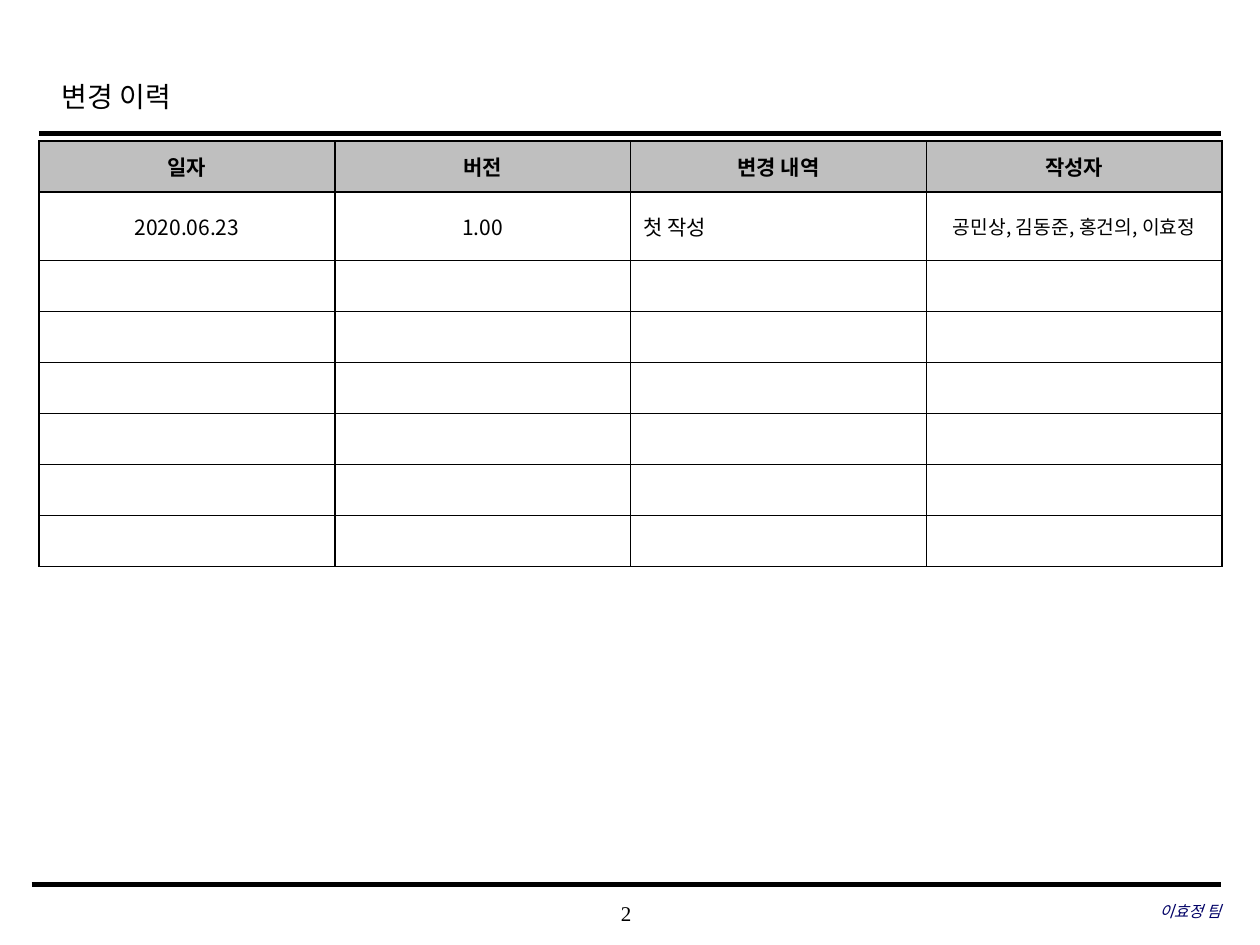
from lxml.etree import SubElement
from pptx import Presentation
from pptx.dml.color import RGBColor
from pptx.enum.shapes import MSO_CONNECTOR
from pptx.enum.text import MSO_ANCHOR, PP_ALIGN
from pptx.oxml.ns import qn
from pptx.util import Inches, Pt

SERIF = "Times New Roman"
SANS = "Noto Sans CJK KR"
BLACK = "000000"
HEADERS = ["일자", "버전", "변경 내역", "작성자"]
REVISION = ["2020.06.23", "1.00", "첫 작성", "공민상, 김동준, 홍건의, 이효정"]
ROW_COUNT = 8


def rgb(value):
    return RGBColor.from_string(value)


def style_paragraph(para, name, size, color=BLACK, bold=False, italic=False,
                    align=PP_ALIGN.LEFT):
    para.alignment = align
    font = para.font
    font.name, font.size = name, Pt(size)
    font.bold, font.italic = bold, italic
    font.color.rgb = rgb(color)
    # Korean glyphs use the East Asian typeface
    SubElement(font._element, qn("a:ea"), typeface=SANS)


def add_title(page, text):
    title = page.shapes.title
    title.left, title.top = Inches(0.39), Inches(0.49)
    title.width, title.height = Inches(7.55), Inches(0.5)
    frame = title.text_frame
    frame.text = text
    frame.vertical_anchor = MSO_ANCHOR.MIDDLE
    para = frame.paragraphs[0]
    para.line_spacing = 1.2
    style_paragraph(para, SERIF, 16)


def add_rule(page, left, right, top, weight):
    rule = page.shapes.add_connector(MSO_CONNECTOR.STRAIGHT, Inches(left),
                                     Inches(top), Inches(right), Inches(top))
    rule.line.color.rgb = rgb(BLACK)
    rule.line.width = Pt(weight)
    SubElement(rule._element.spPr, qn("a:effectLst"))


def add_footer_text(page, text, left, top, width, **style):
    box = page.shapes.add_textbox(Inches(left), Inches(top),
                                  Inches(width), Inches(0.33))
    frame = box.text_frame
    frame.word_wrap = True
    frame.vertical_anchor = MSO_ANCHOR.MIDDLE
    frame.margin_left = frame.margin_right = 0
    frame.margin_top = frame.margin_bottom = 0
    frame.text = text
    style_paragraph(frame.paragraphs[0], SERIF, **style)


def set_borders(cell):
    properties = cell._tc.get_or_add_tcPr()
    for position, side in enumerate(("lnL", "lnR", "lnT", "lnB")):
        border = SubElement(properties, qn(f"a:{side}"), w=str(Pt(1)))
        fill = SubElement(border, qn("a:solidFill"))
        SubElement(fill, qn("a:srgbClr"), val=BLACK)
        # Borders come before the cell fill
        properties.insert(position, border)


def add_history_table(page):
    table = page.shapes.add_table(ROW_COUNT, len(HEADERS), Inches(0.31), Inches(1.12),
                                  Inches(9.39), Inches(3.24)).table
    blank_rows = [[""] * len(HEADERS)] * (ROW_COUNT - 2)
    for row, texts in enumerate([HEADERS, REVISION, *blank_rows]):
        for column, text in enumerate(texts):
            cell = table.cell(row, column)
            is_header = row == 0
            cell.text = text
            cell.vertical_anchor = MSO_ANCHOR.MIDDLE
            cell.fill.solid()
            cell.fill.fore_color.rgb = rgb("BFBFBF" if is_header else "FFFFFF")
            set_borders(cell)
            is_description = column == 2 and not is_header
            style_paragraph(
                cell.text_frame.paragraphs[0], SANS,
                size=11 if column == 3 and not is_header else 12,
                bold=is_header,
                align=PP_ALIGN.LEFT if is_description else PP_ALIGN.CENTER)


def main():
    deck = Presentation()
    deck.slide_width, deck.slide_height = Inches(10), Inches(7.5)
    page = deck.slides.add_slide(deck.slide_layouts[5])

    # Heading and rules
    add_title(page, "변경 이력")
    add_rule(page, 0.31, 9.69, 1.06, 2.5)
    add_rule(page, 0.25, 9.69, 7.02, 3)

    # Revision history
    add_history_table(page)

    # Footer
    add_footer_text(page, "2", 3.93, 7.08, 2.08, size=12, align=PP_ALIGN.CENTER)
    add_footer_text(page, "이효정 팀", 6.63, 7.07, 3.06, size=9, color="000066",
                    italic=True, align=PP_ALIGN.RIGHT)

    deck.save("out.pptx")


if __name__ == "__main__":
    main()
